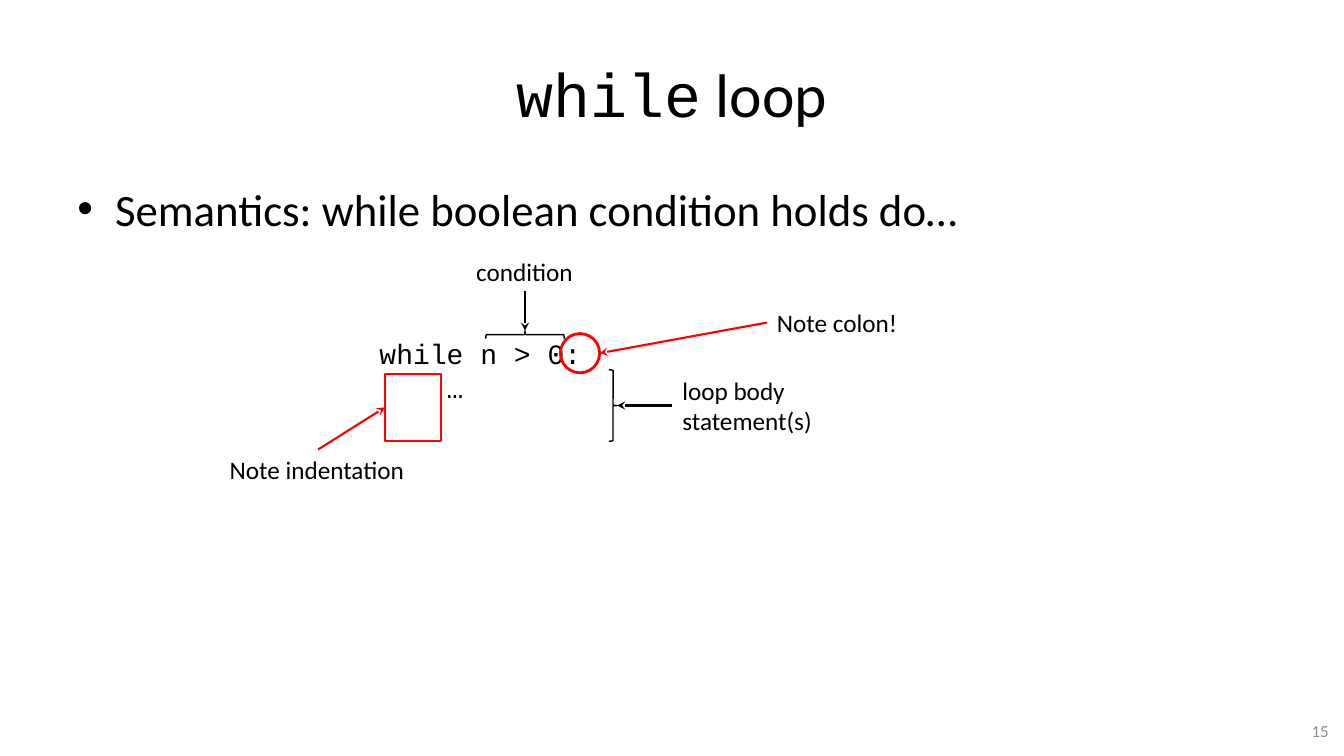
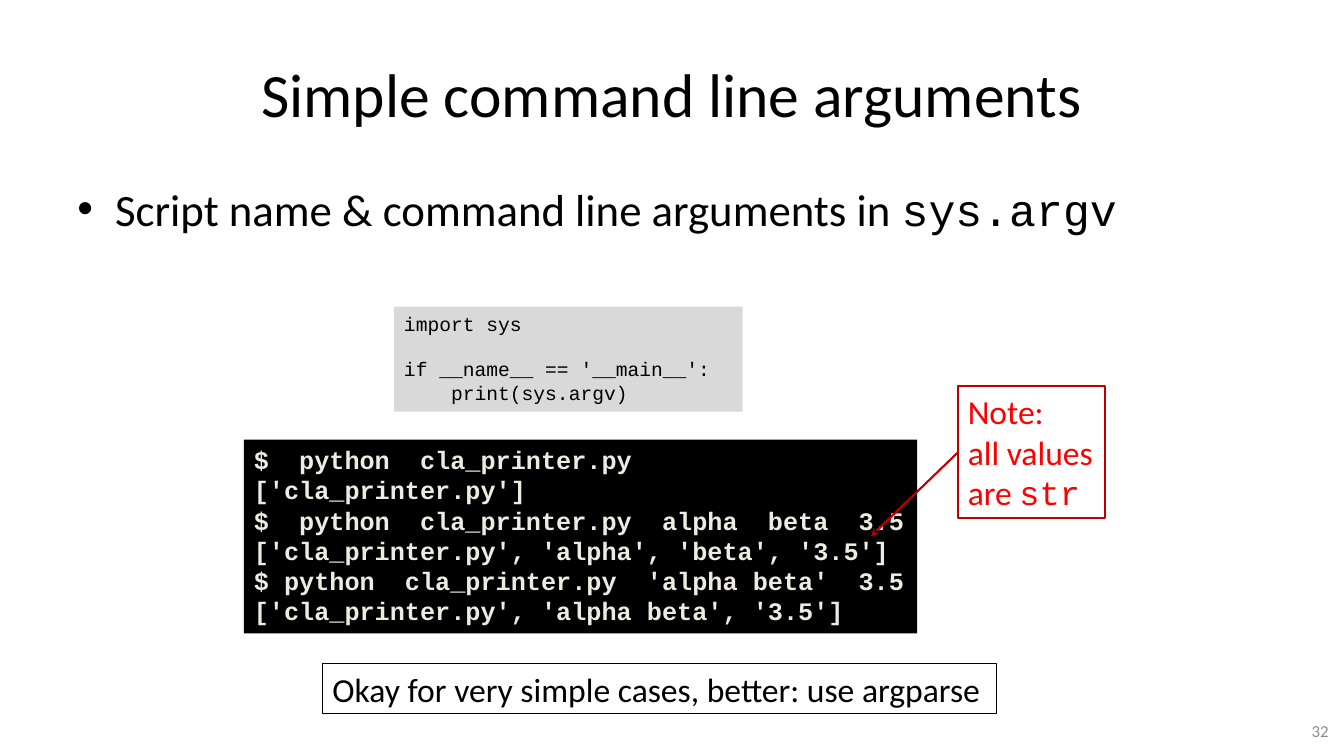
from lxml import etree
from pptx import Presentation
from pptx.dml.color import RGBColor
from pptx.enum.shapes import MSO_CONNECTOR, MSO_SHAPE
from pptx.enum.text import MSO_ANCHOR, MSO_AUTO_SIZE, PP_ALIGN
from pptx.oxml.ns import qn
from pptx.util import Pt

STRAIGHT = MSO_CONNECTOR.STRAIGHT
RECTANGLE, OVAL = MSO_SHAPE.RECTANGLE, MSO_SHAPE.OVAL
LEFT_BRACE, RIGHT_BRACE = MSO_SHAPE.LEFT_BRACE, MSO_SHAPE.RIGHT_BRACE
MIDDLE = MSO_ANCHOR.MIDDLE
FIT_SHAPE = MSO_AUTO_SIZE.SHAPE_TO_FIT_TEXT
RIGHT = PP_ALIGN.RIGHT
TOP_SIDE, LEFT_SIDE, BOTTOM_SIDE = 0, 1, 2

COLORS = {
    "text": "000000",
    "number": "8C8C8C",
    "script": "D9D9D9",
    "terminal": "000000",
    "terminal text": "EEECE1",
    "accent": "FF0000",
    "accent dark": "C00000",
}
SANS, MONO = "Calibri", "Courier New"
TITLE_BOX = (48, 21.6, 864, 90)
BODY_BOX = (48, 126, 864, 356.4)
NUMBER_BOX = (732.2, 507.6, 224, 28.8)


def rgb(color):
    return RGBColor.from_string(COLORS[color])


def place(shape, box):
    shape.left, shape.top, shape.width, shape.height = map(Pt, box)


def write_lines(frame, lines, size, font=SANS, color="text", bold=False):
    """A line is a string or a list of (text, font) segments."""
    for number, line in enumerate(lines):
        paragraph = frame.add_paragraph() if number else frame.paragraphs[0]
        paragraph.font.size = Pt(size)
        paragraph.font.bold = bold
        paragraph.font.color.rgb = rgb(color)
        if isinstance(line, str):
            paragraph.font.name = font
            paragraph.add_run().text = line
        else:
            for text, segment_font in line:
                run = paragraph.add_run()
                run.text = text
                run.font.name = segment_font


def add_text(slide, box, lines, size, fill=None, line=None, width=1, **style):
    block = slide.shapes.add_textbox(*map(Pt, box))
    block.text_frame.word_wrap = False
    block.text_frame.auto_size = FIT_SHAPE
    write_lines(block.text_frame, lines, size, **style)
    if fill:
        block.fill.solid()
        block.fill.fore_color.rgb = rgb(fill)
    if line:
        block.line.color.rgb = rgb(line)
        block.line.width = Pt(width)
    return block


def add_outline(slide, kind, box, color, width):
    outline = slide.shapes.add_shape(kind, *map(Pt, box))
    outline.shadow.inherit = False
    outline.fill.background()
    outline.line.color.rgb = rgb(color)
    outline.line.width = Pt(width)
    return outline


def add_arrow(slide, source, side, tip, color):
    """Arrow from the middle of a side of source to the point tip."""
    arrow = slide.shapes.add_connector(STRAIGHT, 0, 0, *map(Pt, tip))
    arrow.begin_connect(source, side)
    arrow.line.color.rgb = rgb(color)
    arrow.line.width = Pt(1.5)
    etree.SubElement(arrow.line._get_or_add_ln(), qn("a:tailEnd"), type="stealth")
    etree.SubElement(arrow._element.spPr, qn("a:effectLst"))
    return arrow


def set_up_layout(deck):
    layout = deck.slide_layouts[1]
    title, body = layout.placeholders[0], layout.placeholders[1]
    place(title, TITLE_BOX)
    place(body, BODY_BOX)
    return layout


def add_topic_slide(deck, layout, title, bullet, number):
    slide = deck.slides.add_slide(layout)
    write_lines(slide.shapes.title.text_frame, [title], 44)
    write_lines(slide.placeholders[1].text_frame, [bullet], 32)
    # Slide number
    page = add_text(slide, NUMBER_BOX, [str(number)], 12, color="number")
    page.text_frame.word_wrap = True
    page.text_frame.auto_size = MSO_AUTO_SIZE.NONE
    page.text_frame.vertical_anchor = MIDDLE
    page.text_frame.paragraphs[0].alignment = RIGHT
    return slide


def add_loop_diagram(slide, box):
    """The loop code fills the box; the notes stand around it."""
    left, top, width, height = box
    add_text(slide, box, ["while n > 0:", "    …"], 20, font=MONO)

    # Condition
    middle = left + 111
    add_outline(slide, LEFT_BRACE, (middle - 2.9, top - 26, 5.8, 56), "text", 1).rotation = 90
    condition = add_text(slide, (middle - 42, top - 57.7, 84, 28.8), ["condition"], 18)
    add_arrow(slide, condition, BOTTOM_SIDE, (middle, top - 0.8), "text")

    # Loop body
    body_top, body_height = top + 27.2, 51
    brace_left = left + width + 11
    add_outline(slide, RIGHT_BRACE, (brace_left, body_top, 5.8, body_height), "text", 1)
    body = add_text(slide, (brace_left + 45.3, body_top, 108, body_height),
                    ["loop body", "statement(s)"], 18)
    add_arrow(slide, body, LEFT_SIDE, (brace_left + 5.8, body_top + body_height / 2), "text")

    # Colon
    ring, ring_left, ring_top = 28, left + 136.3, top + 1.3
    add_outline(slide, OVAL, (ring_left, ring_top, ring, ring), "accent", 2)
    colon = add_text(slide, (left + 283.9, top - 21, 101.5, 28.8), ["Note colon!"], 18)
    add_arrow(slide, colon, LEFT_SIDE, (ring_left + ring, ring_top + ring / 2), "accent")

    # Indentation
    indent_box = (left + 11, top + 30, 40, 48)
    indent = add_outline(slide, RECTANGLE, indent_box, "accent", 1.5)
    note = add_text(slide, (left - 107, top + height + 28.6, 140.4, 28.8),
                    ["Note indentation"], 18)
    arrow = add_arrow(slide, note, TOP_SIDE, indent_box[:2], "accent")
    arrow.end_connect(indent, LEFT_SIDE)


def add_argv_example(slide, box):
    left, top, width, height = box

    # Script
    script = add_text(slide, (left + 107.3, top, 249, 75),
                      ["import sys", "if __name__ == '__main__':", "    print(sys.argv)"],
                      14, fill="script", font=MONO)
    script.text_frame.word_wrap = True
    script.text_frame.paragraphs[1].space_before = Pt(15.9)

    # Terminal session
    add_text(slide, (left, top + 95, 481, 138.4), [
        "$  python  cla_printer.py",
        "['cla_printer.py']",
        "$  python  cla_printer.py  alpha  beta  3.5",
        "['cla_printer.py', 'alpha', 'beta', '3.5']",
        "$ python  cla_printer.py  'alpha beta'  3.5",
        "['cla_printer.py', 'alpha beta', '3.5']",
    ], 18, fill="terminal", font=MONO, color="terminal text", bold=True)

    # Note on value types
    note = add_text(slide, (left + width - 105, top + 57, 105, 94.3),
                    ["Note:", "all values", [("are ", SANS), ("str", MONO)]],
                    24, line="accent dark", width=1.5, color="accent")
    add_arrow(slide, note, LEFT_SIDE, (left + 448, top + 164), "accent dark")

    # Advice
    advice = add_text(slide, (left + 56.2, top + height - 36, 481.7, 36),
                      ["Okay for very simple cases, better: use argparse"],
                      24, line="text", width=0.75)
    advice.text_frame.word_wrap = True


def main():
    deck = Presentation()
    deck.slide_width, deck.slide_height = Pt(960), Pt(540)
    layout = set_up_layout(deck)

    loop = add_topic_slide(deck, layout, [("while", MONO), (" loop", SANS)],
                           "Semantics: while boolean condition holds do…", 15)
    add_loop_diagram(loop, (264, 237, 160, 55.5))

    arguments = add_topic_slide(
        deck, layout, "Simple command line arguments",
        [("Script name & command line arguments in ", SANS), ("sys.argv", MONO)], 32)
    add_argv_example(arguments, (174.2, 219, 615, 291))

    deck.save("out.pptx")


if __name__ == "__main__":
    main()
